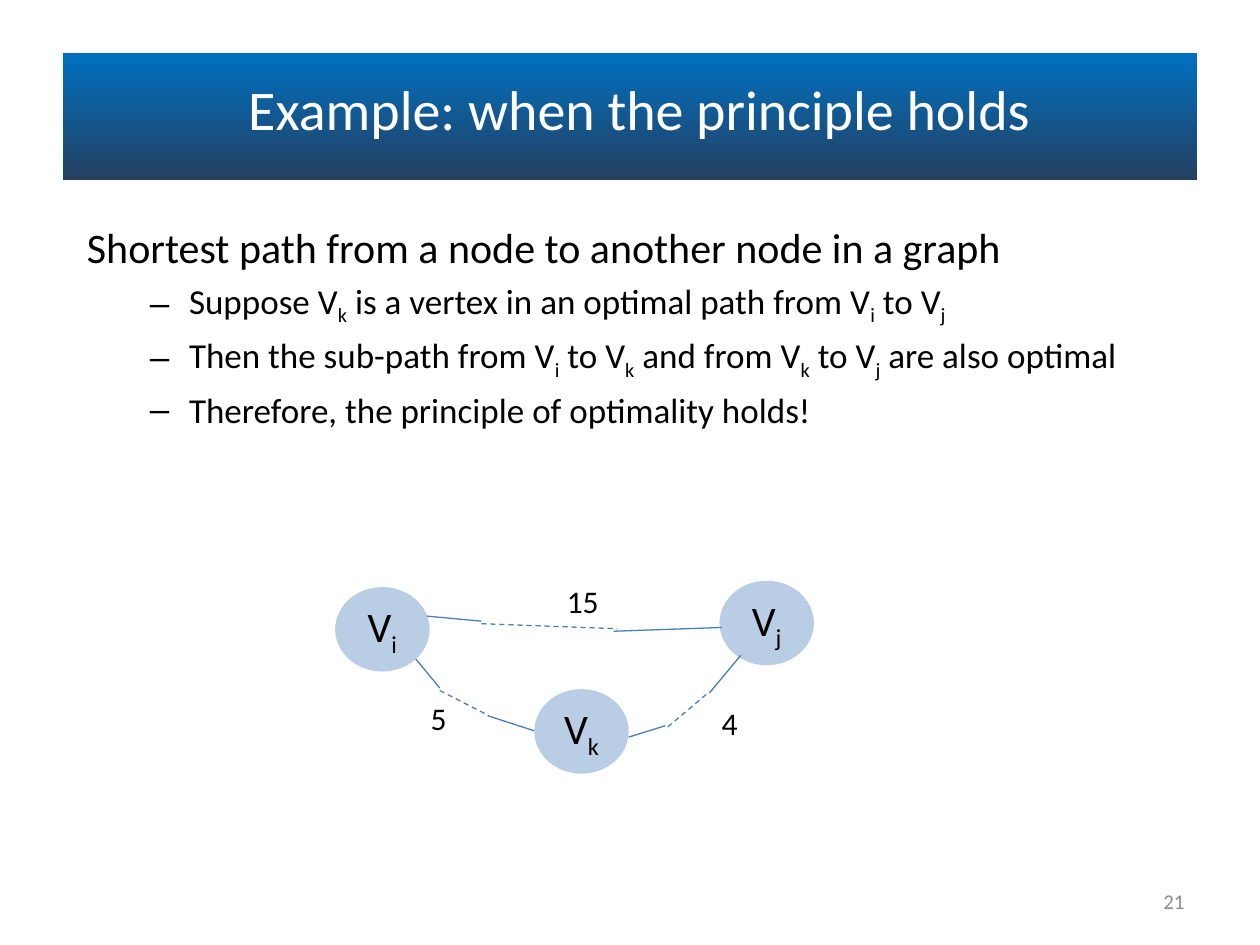
from lxml import etree
from pptx import Presentation
from pptx.dml.color import RGBColor
from pptx.enum import dml, shapes, text
from pptx.oxml import ns
from pptx.util import Inches, Pt

FONT = "Calibri"
BLACK = RGBColor(0x00, 0x00, 0x00)
WHITE = RGBColor(0xFF, 0xFF, 0xFF)
GREY = RGBColor(0x8C, 0x8C, 0x8C)
BANNER_TOP = RGBColor(0x00, 0x70, 0xC0)
BANNER_BOTTOM = RGBColor(0x25, 0x40, 0x61)
NODE_BLUE = RGBColor(0xB9, 0xCD, 0xE5)
EDGE_BLUE = RGBColor(0x4B, 0x7E, 0xBC)

# Subscripts stand between tildes
HEADING = "Shortest path from a node to another node in a graph"
POINTS = [
    "Suppose V~k~ is a vertex in an optimal path from V~i~ to V~j~",
    "Then the sub-path from V~i~ to V~k~ and from V~k~ to V~j~ are also optimal",
    "Therefore, the principle of optimality holds!",
]

# Graph parts, in inches from the graph's top left corner
NODE_W, NODE_H = 0.75, 0.67
NODES = [("V~i~", 0, 0.09), ("V~k~", 1.58, 0.9), ("V~j~", 3.05, 0.04)]
# Each path: solid, dashed and solid piece
PATHS = [
    [(0.64, 0.66, 0.83, 0.89), (0.83, 0.91, 1.22, 1.11), (1.21, 1.11, 1.58, 1.23)],
    [(2.33, 1.28, 2.62, 1.19), (2.64, 1.2, 2.97, 0.92), (2.97, 0.93, 3.22, 0.63)],
    [(0.73, 0.32, 1.16, 0.36), (1.16, 0.38, 2.24, 0.42), (2.21, 0.44, 3.07, 0.41)],
]
WEIGHTS = [("5", 0.66, 0.93, 0.33), ("4", 2.97, 0.97, 0.33), ("15", 1.74, 0, 0.46)]


def place(sp, x, y, w, h):
    sp.left, sp.top, sp.width, sp.height = map(Inches, (x, y, w, h))


def write(p, content, size, color=BLACK, align=text.PP_ALIGN.LEFT):
    p.alignment = align
    for i, part in enumerate(content.split("~")):
        if not part:
            continue
        r = p.add_run()
        r.text = part
        r.font.name, r.font.size = FONT, Pt(size)
        r.font.color.rgb = color
        if i % 2:
            r.font._element.set("baseline", "-25000")


def add_label(s, x, y, w, h, content, size, color=BLACK,
              align=text.PP_ALIGN.LEFT, anchor=text.MSO_ANCHOR.TOP):
    tf = s.shapes.add_textbox(*map(Inches, (x, y, w, h))).text_frame
    tf.word_wrap = False
    tf.vertical_anchor = anchor
    write(tf.paragraphs[0], content, size, color, align)


def add_banner(s, x, y, w, h):
    sp = s.shapes.add_shape(shapes.MSO_SHAPE.RECTANGLE, *map(Inches, (x, y, w, h)))
    sp.shadow.inherit = False
    sp.line.fill.background()
    sp.fill.gradient()
    sp.fill.gradient_angle = 270
    for stop, pos, color in zip(sp.fill.gradient_stops, (0, 1),
                                (BANNER_TOP, BANNER_BOTTOM)):
        stop.position, stop.color.rgb = pos, color
    # Send the band behind the title
    s.shapes._spTree.insert(2, sp._element)

    title = s.shapes.title
    place(title, x + 1.37, y + 0.12, 7.18, 0.64)
    tf = title.text_frame
    tf.word_wrap = True
    tf.auto_size = text.MSO_AUTO_SIZE.NONE
    tf.vertical_anchor = text.MSO_ANCHOR.TOP
    write(tf.paragraphs[0], "Example: when the principle holds", 32, WHITE)


def add_body(s, x, y, w, h):
    body = s.placeholders[1]
    place(body, x, y, w, h)
    tf = body.text_frame
    tf.auto_size = text.MSO_AUTO_SIZE.NONE

    # Heading without a bullet
    p = tf.paragraphs[0]
    pPr = p._p.get_or_add_pPr()
    pPr.set("marL", "0")
    pPr.set("indent", "0")
    etree.SubElement(pPr, ns.qn("a:buNone"))
    p.space_before = Pt(0)
    write(p, HEADING, 24)

    # Dashed points
    for point in POINTS:
        p = tf.add_paragraph()
        p.level = 1
        pPr = p._p.get_or_add_pPr()
        pPr.set("marL", str(Inches(0.81)))
        pPr.set("indent", str(Inches(-0.31)))
        etree.SubElement(pPr, ns.qn("a:buChar")).set("char", "–")
        write(p, point, 20)


def add_edge(s, x1, y1, x2, y2, dashed):
    line = s.shapes.add_connector(shapes.MSO_CONNECTOR.STRAIGHT,
                                  *map(Inches, (x1, y1, x2, y2)))
    line.line.color.rgb = EDGE_BLUE
    line.line.width = Pt(0.75)
    if dashed:
        line.line.dash_style = dml.MSO_LINE.DASH
    etree.SubElement(line._element.spPr, ns.qn("a:effectLst"))


def add_graph(s, x, y):
    for name, dx, dy in NODES:
        sp = s.shapes.add_shape(shapes.MSO_SHAPE.OVAL,
                                *map(Inches, (x + dx, y + dy, NODE_W, NODE_H)))
        sp.shadow.inherit = False
        sp.fill.solid()
        sp.fill.fore_color.rgb = NODE_BLUE
        sp.line.fill.background()
        tf = sp.text_frame
        tf.word_wrap = False
        tf.vertical_anchor = text.MSO_ANCHOR.MIDDLE
        write(tf.paragraphs[0], name, 24, align=text.PP_ALIGN.CENTER)

    for pieces in PATHS:
        for i, (x1, y1, x2, y2) in enumerate(pieces):
            add_edge(s, x + x1, y + y1, x + x2, y + y2, dashed=i == 1)

    for weight, dx, dy, w in WEIGHTS:
        add_label(s, x + dx, y + dy, w, 0.4, weight, 18)


def main():
    prs = Presentation()
    prs.slide_width, prs.slide_height = Inches(10), Inches(7.5)
    s = prs.slides.add_slide(prs.slide_layouts[1])
    add_banner(s, 0.5, 0.42, 9, 1.01)
    add_body(s, 0.59, 1.71, 9, 2.41)
    add_graph(s, 2.66, 4.57)
    # Slide number
    add_label(s, 7.17, 6.95, 2.33, 0.4, "21", 12, GREY,
              text.PP_ALIGN.RIGHT, text.MSO_ANCHOR.MIDDLE)
    prs.save("out.pptx")


if __name__ == "__main__":
    main()
